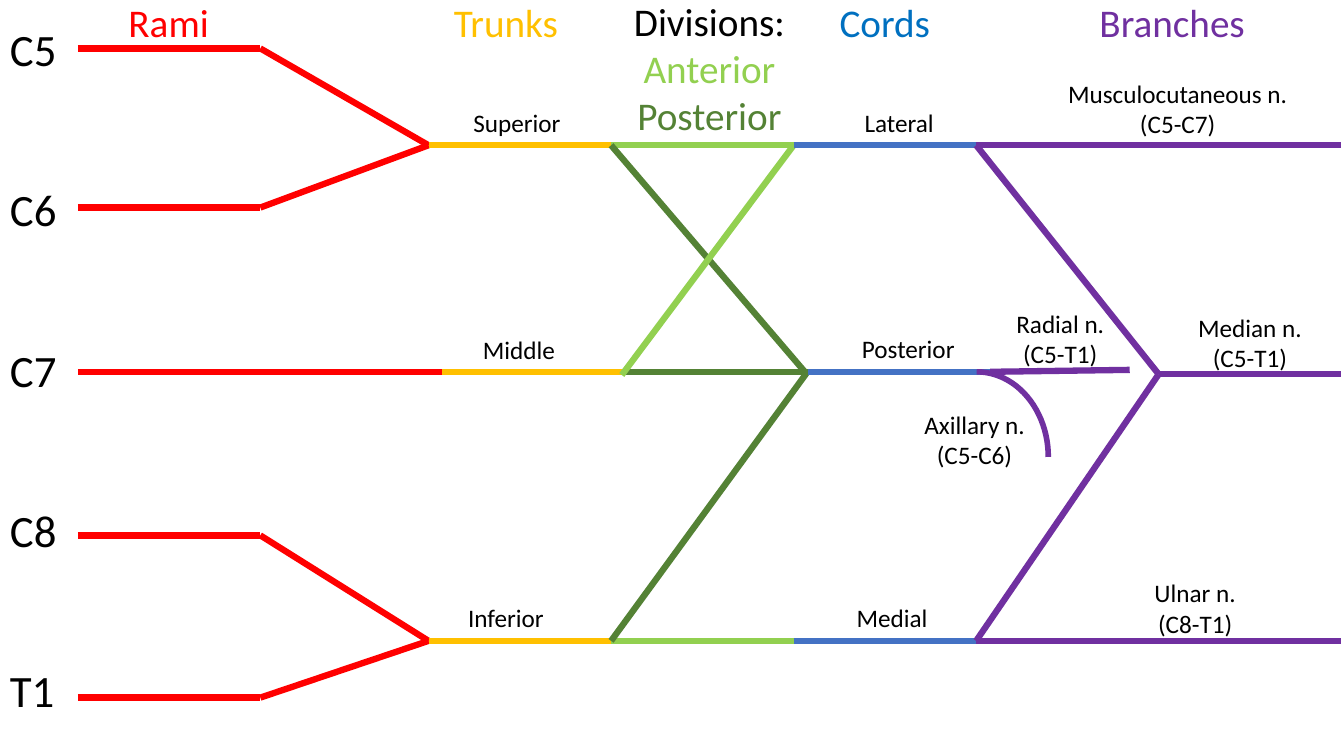
import dataclasses
import lxml.etree
import pptx
import pptx.dml.color
import pptx.enum.shapes
import pptx.enum.text
import pptx.oxml.ns
import pptx.slide
import pptx.util

Cm, Pt = pptx.util.Cm, pptx.util.Pt
ALIGN = pptx.enum.text.PP_ALIGN

COLOURS = {
    "rami": "FF0000",
    "trunks": "FFC000",
    "anterior": "92D050",
    "posterior": "548235",
    "cords": "4472C4",
    "cords heading": "0070C0",
    "branches": "7030A0",
    "text": "000000",
}

STEP = 4.6  # length of every level segment
RAMI_X = 1.96
FORK_X = RAMI_X + STEP
TRUNK_X, DIVISION_X, CORD_X, BRANCH_X, NERVE_X = (10.8 + STEP * i for i in range(5))
MIDDLE_SHIFT = 0.35  # the middle row starts a little further right
UPPER_Y, MIDDLE_Y, LOWER_Y = 3.66, 9.37, 16.15
MEDIAN_Y = 9.43
ROOTS = {"C5": 1.22, "C6": 5.23, "C7": MIDDLE_Y, "C8": 13.49, "T1": 17.58}


@dataclasses.dataclass
class Segment:
    x1: float
    y1: float
    x2: float
    y2: float
    colour: str


@dataclasses.dataclass
class Label:
    lines: list[str]
    centre: float
    top: float
    width: float = 3.76
    size: int = 18
    colours: tuple[str, ...] = ("text",)
    align: ALIGN = ALIGN.CENTER
    space_before: int = 0


def level(x: float, y: float, colour: str) -> Segment:
    return Segment(x, y, x + STEP, y, colour)


def heading(text: str, centre: float, colour: str) -> Label:
    return Label([text], centre, -0.18, 4.93, 28, (colour,))


SEGMENTS = [
    *(level(RAMI_X, y, "rami") for y in ROOTS.values()),
    *(
        Segment(FORK_X, ROOTS[root], TRUNK_X, y, "rami")
        for y, pair in ((UPPER_Y, ("C5", "C6")), (LOWER_Y, ("C8", "T1")))
        for root in pair
    ),
    level(FORK_X, MIDDLE_Y, "rami"),
    level(TRUNK_X, UPPER_Y, "trunks"),
    level(TRUNK_X + MIDDLE_SHIFT, MIDDLE_Y, "trunks"),
    level(TRUNK_X, LOWER_Y, "trunks"),
    level(DIVISION_X, UPPER_Y, "anterior"),
    Segment(DIVISION_X, UPPER_Y, CORD_X + MIDDLE_SHIFT, 9.45, "posterior"),
    level(DIVISION_X + MIDDLE_SHIFT, MIDDLE_Y, "posterior"),
    Segment(15.67, 9.45, CORD_X, UPPER_Y, "anterior"),
    level(DIVISION_X, LOWER_Y, "anterior"),
    Segment(DIVISION_X, LOWER_Y, CORD_X + MIDDLE_SHIFT, MIDDLE_Y, "posterior"),
    level(CORD_X, UPPER_Y, "cords"),
    level(CORD_X + MIDDLE_SHIFT, MIDDLE_Y, "cords"),
    level(CORD_X, LOWER_Y, "cords"),
    *(level(x, y, "branches") for y in (UPPER_Y, LOWER_Y) for x in (BRANCH_X, NERVE_X)),
    Segment(BRANCH_X, UPPER_Y, NERVE_X, MEDIAN_Y, "branches"),
    level(NERVE_X, MEDIAN_Y, "branches"),
    Segment(BRANCH_X, LOWER_Y, NERVE_X, MEDIAN_Y, "branches"),
    Segment(BRANCH_X + MIDDLE_SHIFT, MIDDLE_Y, 28.47, 9.32, "branches"),
]

LABELS = [
    Label(list(ROOTS), 1, 0.43, 2, 32, align=ALIGN.LEFT, space_before=76),
    heading("Rami", 4.25, "rami"),
    heading("Trunks", 12.75, "trunks"),
    Label(["Divisions:", "Anterior", "Posterior"], 17.88, -0.2, 5.08, 28,
          ("text", "anterior", "posterior")),
    heading("Cords", 22.3, "cords heading"),
    heading("Branches", 29.54, "branches"),
    Label(["Superior"], 13.03, 2.57),
    Label(["Middle"], 13.08, 8.31),
    Label(["Inferior"], 12.75, 15.04),
    Label(["Lateral"], 22.66, 2.57),
    Label(["Posterior"], 22.89, 8.28),
    Label(["Medial"], 22.48, 15.04),
    Label(["Musculocutaneous n.", "(C5-C7)"], 29.68, 1.85, 6.43),
    Label(["Median n.", "(C5-T1)"], 31.5, 7.75),
    Label(["Ulnar n.", "(C8-T1)"], 30.12, 14.43),
    Label(["Radial n.", "(C5-T1)"], 26.72, 7.65),
    Label(["Axillary n.", "(C5-C6)"], 24.56, 10.19),
]


def rgb(name: str) -> pptx.dml.color.RGBColor:
    return pptx.dml.color.RGBColor.from_string(COLOURS[name])


def apply(target: object, values: dict[str, object]) -> None:
    for name, value in values.items():
        setattr(target, name, value)


def draw_segment(slide: pptx.slide.Slide, seg: Segment) -> None:
    sp = slide.shapes.add_connector(
        pptx.enum.shapes.MSO_CONNECTOR.STRAIGHT,
        Cm(seg.x1), Cm(seg.y1), Cm(seg.x2), Cm(seg.y2))
    sp.line.width = Pt(4.5)
    sp.line.color.rgb = rgb(seg.colour)
    lxml.etree.SubElement(sp._element.spPr, pptx.oxml.ns.qn("a:effectLst"))


def draw_axillary_arc(slide: pptx.slide.Slide) -> None:
    sp = slide.shapes.add_shape(
        pptx.enum.shapes.MSO_SHAPE.ARC, Cm(22.81), Cm(MIDDLE_Y), Cm(3.61), Cm(4.29))
    sp.shadow.inherit = False
    sp.fill.background()
    sp.line.width = Pt(4)
    sp.line.color.rgb = rgb("branches")


def draw_label(slide: pptx.slide.Slide, label: Label) -> None:
    gaps = label.space_before * (len(label.lines) - 1)
    height = Cm(0.25) + Pt(1.22 * label.size * len(label.lines) + gaps)
    sp = slide.shapes.add_textbox(
        Cm(label.centre - label.width / 2), Cm(label.top), Cm(label.width), height)
    tf = sp.text_frame
    apply(tf, {"word_wrap": True,
               "auto_size": pptx.enum.text.MSO_AUTO_SIZE.SHAPE_TO_FIT_TEXT})
    for i, text in enumerate(label.lines):
        p = tf.add_paragraph() if i else tf.paragraphs[0]
        apply(p, {"alignment": label.align,
                  "space_before": Pt(label.space_before if i else 0)})
        r = p.add_run()
        r.text = text
        apply(r.font, {"name": "Calibri", "size": Pt(label.size)})
        r.font.color.rgb = rgb(label.colours[i % len(label.colours)])


def main() -> None:
    prs = pptx.Presentation()
    apply(prs, {"slide_width": Cm(33.87), "slide_height": Cm(19.05)})
    slide = prs.slides.add_slide(prs.slide_layouts.get_by_name("Blank"))
    for seg in SEGMENTS:
        draw_segment(slide, seg)
    draw_axillary_arc(slide)
    for label in LABELS:
        draw_label(slide, label)
    prs.save("out.pptx")


if __name__ == "__main__":
    main()
